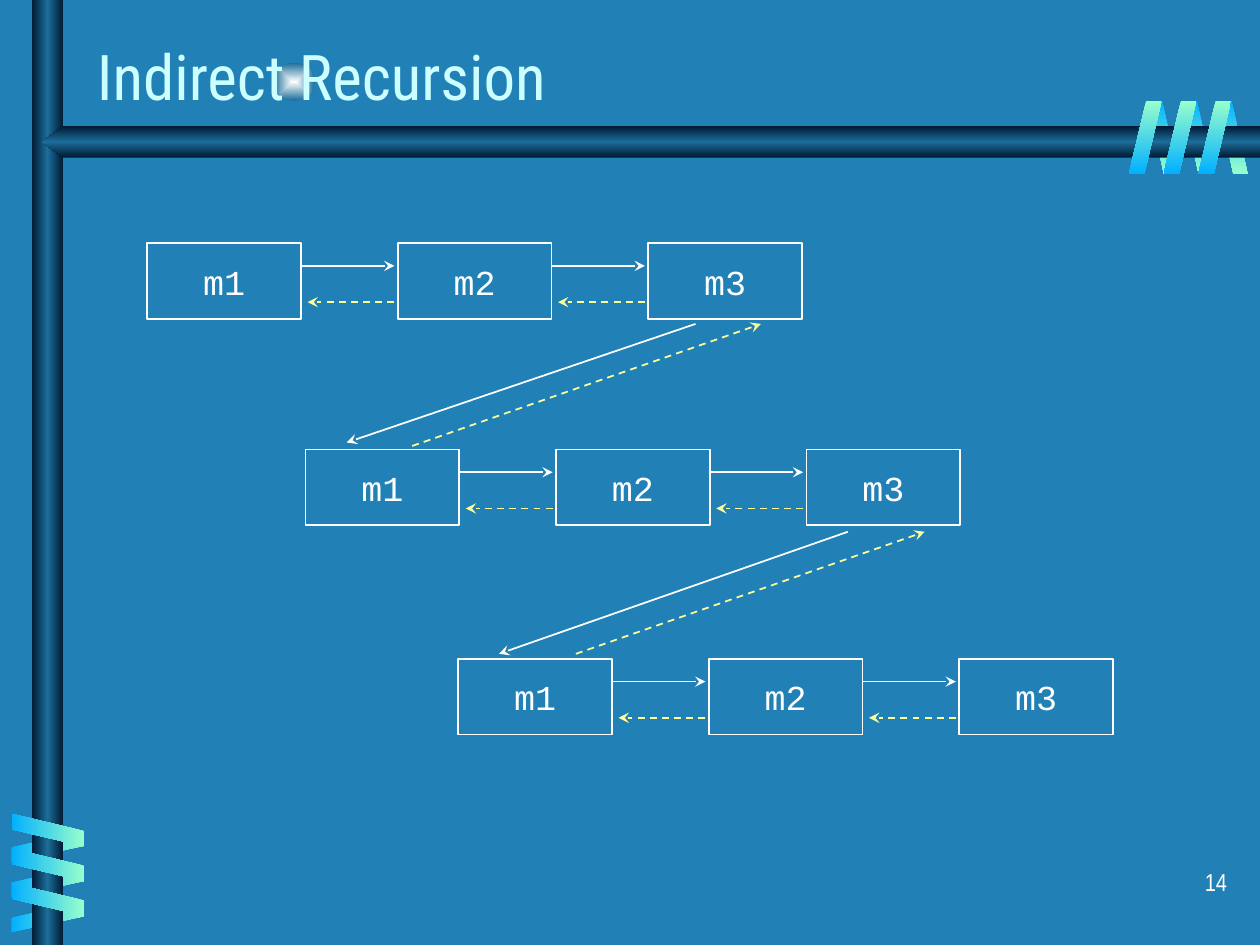
from dataclasses import dataclass

from lxml import etree
from pptx import Presentation
from pptx.dml.color import RGBColor
from pptx.enum.dml import MSO_LINE
from pptx.enum.shapes import MSO_CONNECTOR, MSO_SHAPE
from pptx.enum.text import MSO_ANCHOR, MSO_AUTO_SIZE, PP_ALIGN
from pptx.oxml.ns import qn
from pptx.util import Cm, Pt

RECTANGLE, OVAL = MSO_SHAPE.RECTANGLE, MSO_SHAPE.OVAL
PARALLELOGRAM = MSO_SHAPE.PARALLELOGRAM
STRAIGHT = MSO_CONNECTOR.STRAIGHT
DASH = MSO_LINE.DASH
LEFT, CENTER, RIGHT = PP_ALIGN.LEFT, PP_ALIGN.CENTER, PP_ALIGN.RIGHT
TOP, MIDDLE = MSO_ANCHOR.TOP, MSO_ANCHOR.MIDDLE
NO_AUTOFIT = MSO_AUTO_SIZE.NONE


@dataclass(frozen=True)
class Theme:
    background: str = "2181B7"
    title: str = "CCFFFF"
    text: str = "FFFFFF"
    call: str = "FFFFFF"
    back: str = "FFFF99"
    tube: tuple = ("001932", "1C6D9A", "001932")
    glow: tuple = ("FEFFFF", "1C6D9A")
    front_coil: tuple = ("99FFCC", "01B0FF")
    rear_coil: tuple = ("01B0FF", "99FFCC")
    title_font: str = "Roboto Condensed"
    code_font: str = "Courier New"
    number_font: str = "Arial Narrow"
    title_size: int = 36
    code_size: int = 20
    number_size: int = 14
    line_width: int = 1


def write_text(shape, text, *, font, size, color, align=LEFT, anchor=TOP,
               wrap=True, space_before=0):
    frame = shape.text_frame
    frame.word_wrap = wrap
    frame.auto_size = NO_AUTOFIT
    frame.vertical_anchor = anchor
    paragraph = frame.paragraphs[0]
    paragraph.alignment = align
    paragraph.space_before = Pt(space_before)
    run = paragraph.add_run()
    run.text = text
    run.font.name = font
    run.font.size = Pt(size)
    run.font.color.rgb = RGBColor.from_string(color)


def fill_gradient(shape, colors, angle=None):
    """Spread colors evenly; without an angle they run from the centre out."""
    shape.fill.background()
    properties = shape.element.spPr
    gradient = etree.Element(qn("a:gradFill"), rotWithShape="0")
    stops = etree.SubElement(gradient, qn("a:gsLst"))
    for index, color in enumerate(colors):
        position = 100000 * index // (len(colors) - 1)
        stop = etree.SubElement(stops, qn("a:gs"), pos=str(position))
        etree.SubElement(stop, qn("a:srgbClr"), val=color)
    if angle is None:
        centre = etree.SubElement(gradient, qn("a:path"), path="rect")
        etree.SubElement(centre, qn("a:fillToRect"),
                         {side: "50000" for side in "ltrb"})
    else:
        etree.SubElement(gradient, qn("a:lin"), ang=str(angle * 60000), scaled="1")
    properties.replace(properties.find(qn("a:noFill")), gradient)


class SlideBuilder:
    def __init__(self, presentation, theme):
        self.theme = theme
        self.slide = presentation.slides.add_slide(presentation.slide_layouts[5])
        fill = self.slide.background.fill
        fill.solid()
        fill.fore_color.rgb = RGBColor.from_string(theme.background)

    def decoration(self, kind, left, top, width, height, colors, angle=None):
        shape = self.slide.shapes.add_shape(
            kind, Cm(left), Cm(top), Cm(width), Cm(height))
        shape.shadow.inherit = False
        shape.line.fill.background()
        fill_gradient(shape, colors, angle)
        return shape

    def coil(self, left, top, step_x, step_y, width, colors, angle, rotation, flip):
        for index in range(3):
            strip = self.decoration(
                PARALLELOGRAM, left + index * step_x, top + index * step_y,
                width, 1.47, colors, angle)
            strip.adjustments[0] = 0.53
            strip.rotation = rotation
            if flip:
                strip.element.spPr.find(qn("a:xfrm")).set("flipH", "1")

    def pointed_tube(self, points):
        corners = [(Cm(x), Cm(y)) for x, y in points]
        outline = self.slide.shapes.build_freeform(*corners[0])
        outline.add_line_segments(corners[1:], close=True)
        shape = outline.convert_to_shape()
        shape.shadow.inherit = False
        shape.line.fill.background()
        fill_gradient(shape, self.theme.tube, 90)

    def title(self, text):
        title = self.slide.shapes.title
        title.left, title.top, title.width, title.height = (
            Cm(1.7), Cm(0.56), Cm(21.08), Cm(1.9))
        write_text(title, text, font=self.theme.title_font,
                   size=self.theme.title_size, color=self.theme.title,
                   anchor=MIDDLE)
        # The title stands in front of the glow
        self.slide.shapes.element.append(title.element)

    def method_box(self, text, left, top, width, height):
        box = self.slide.shapes.add_shape(
            RECTANGLE, Cm(left), Cm(top), Cm(width), Cm(height))
        box.shadow.inherit = False
        box.fill.background()
        box.line.color.rgb = RGBColor.from_string(self.theme.call)
        box.line.width = Pt(self.theme.line_width)
        write_text(box, text, font=self.theme.code_font,
                   size=self.theme.code_size, color=self.theme.text,
                   align=CENTER, anchor=MIDDLE, wrap=False)

    def arrow(self, start, end, returning=False):
        arrow = self.slide.shapes.add_connector(
            STRAIGHT, *(Cm(value) for value in (*start, *end)))
        color = self.theme.back if returning else self.theme.call
        arrow.line.color.rgb = RGBColor.from_string(color)
        arrow.line.width = Pt(self.theme.line_width)
        if returning:
            arrow.line.dash_style = DASH
        properties = arrow.element.spPr
        etree.SubElement(properties.find(qn("a:ln")), qn("a:tailEnd"), type="stealth")
        etree.SubElement(properties, qn("a:effectLst"))

    def call_chain(self, left, top):
        pitch, width, height = 5.05, 3.1, 1.53
        names = ("m1", "m2", "m3")
        for index, name in enumerate(names):
            x = left + index * pitch
            self.method_box(name, x, top, width, height)
            if index < len(names) - 1:
                call_y, return_y = top + 0.46, top + 1.19
                self.arrow((x + width, call_y), (x + 4.98, call_y))
                self.arrow((x + 4.98, return_y), (x + 3.23, return_y), returning=True)

    def slide_number(self, text):
        box = self.slide.shapes.add_textbox(Cm(19.71), Cm(17.35), Cm(5.28), Cm(1.27))
        write_text(box, text, font=self.theme.number_font,
                   size=self.theme.number_size, color=self.theme.text,
                   align=RIGHT, space_before=8.8)


def main():
    presentation = Presentation()
    presentation.slide_width, presentation.slide_height = Cm(25.4), Cm(19.05)
    theme = Theme()
    builder = SlideBuilder(presentation, theme)

    # Glow, tubes and the coils wound around them
    builder.decoration(OVAL, 5.51, 1.27, 0.84, 0.76, theme.glow)
    builder.coil(23.14, 2.03, 0.7, 0, 0.61, theme.rear_coil, 90, 180, True)
    builder.coil(0.66, 16.33, 0, 0.71, 0.61, theme.rear_coil, 180, 90, True)
    builder.decoration(RECTANGLE, 0.64, 0, 0.64, 19.05, theme.tube, 180)
    builder.pointed_tube([(25.4, 2.54), (1.27, 2.54), (0.84, 2.86),
                          (1.27, 3.18), (25.4, 3.18)])
    builder.coil(0.64, 16, 0, 0.7, 0.66, theme.front_coil, 180, 270, False)
    builder.coil(22.76, 2.03, 0.7, 0, 0.66, theme.front_coil, 90, 0, False)

    builder.title("Indirect Recursion")

    # Three rounds of calls
    for left, top in ((2.97, 4.9), (6.16, 9.06), (9.24, 13.28)):
        builder.call_chain(left, top)

    # Calls and returns between the rounds
    builder.arrow((14.02, 6.53), (6.99, 8.92))
    builder.arrow((17.09, 10.72), (10.06, 13.18))
    builder.arrow((8.31, 8.99), (15.34, 6.53), returning=True)
    builder.arrow((11.61, 13.18), (18.64, 10.72), returning=True)

    builder.slide_number("14")
    presentation.save("out.pptx")


if __name__ == "__main__":
    main()
